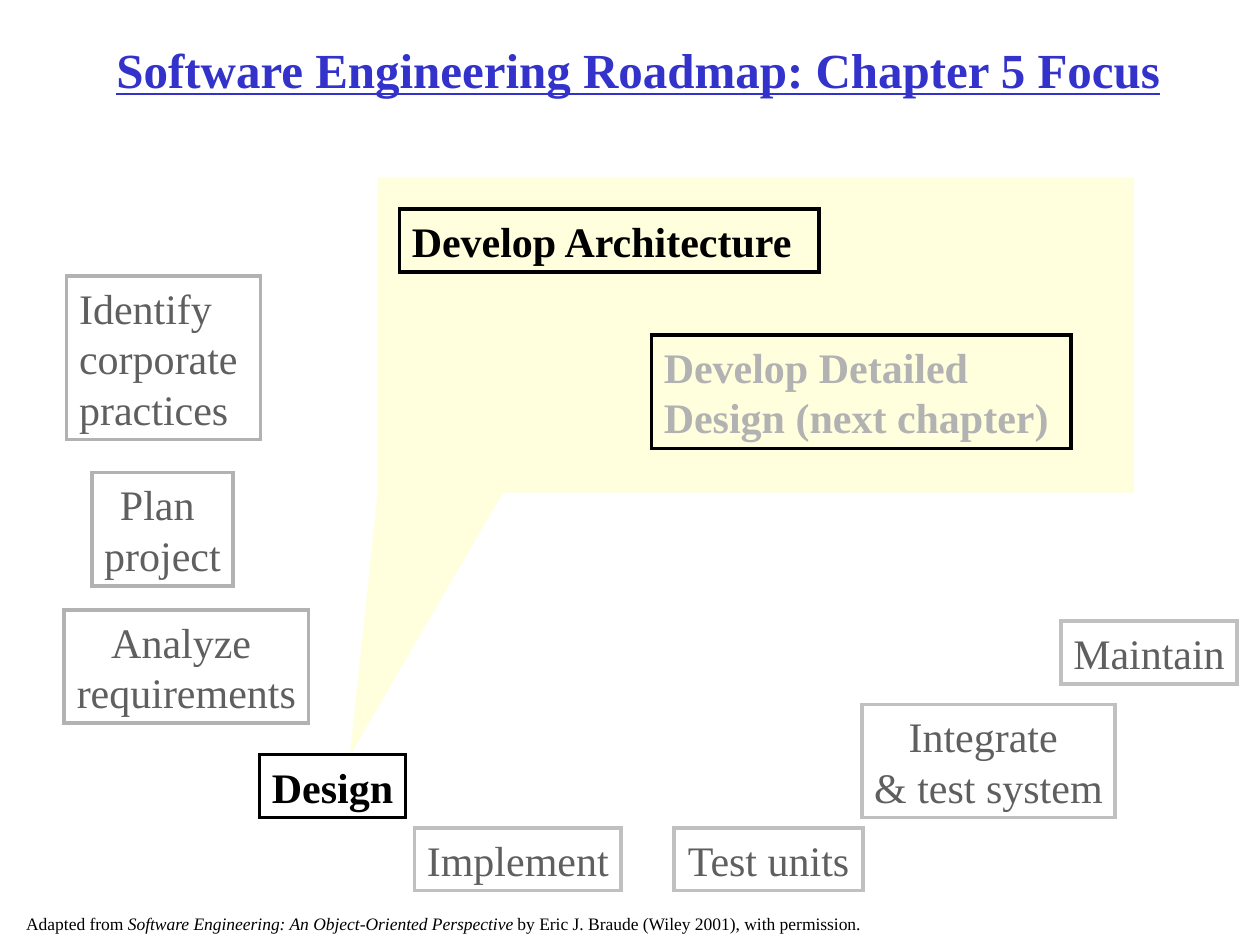
"""Build the software engineering roadmap slide on a grid of 100 columns by 75 rows."""
import lxml.etree
import pptx
import pptx.dml.color
import pptx.enum.shapes
import pptx.enum.text
import pptx.oxml.ns
import pptx.util

SHAPE = pptx.enum.shapes.MSO_SHAPE
ALIGN = pptx.enum.text.PP_ALIGN
ANCHOR = pptx.enum.text.MSO_ANCHOR

deck = pptx.Presentation()
deck.slide_width, deck.slide_height = pptx.util.Inches(10), pptx.util.Inches(7.5)
column, row = deck.slide_width / 100, deck.slide_height / 75
page = deck.slides.add_slide(deck.slide_layouts[6])


def color(value):
    return pptx.dml.color.RGBColor.from_string(value)


def add_box(place, fill=None, line=None, paragraphs=(), font={}, align=ALIGN.LEFT,
            anchor=ANCHOR.MIDDLE, wrap=False, inset=0.05, kind=SHAPE.RECTANGLE):
    left, top, width, height = place
    box = page.shapes.add_shape(kind, round(left * column), round(top * row),
                                round(width * column), round(height * row))
    box.shadow.inherit = False
    for part, value in ((box.fill, fill), (box.line.fill, line)):
        if value:
            part.solid()
            part.fore_color.rgb = color(value)
        else:
            part.background()
    if line:
        box.line.width = pptx.util.Pt(2)
        outline = box.element.spPr.find(pptx.oxml.ns.qn("a:ln"))
        lxml.etree.SubElement(outline, pptx.oxml.ns.qn("a:miter"), lim="800000")
    if not paragraphs:
        return box
    frame = box.text_frame
    side = pptx.util.Inches(0.03 if align == ALIGN.CENTER else 0.1)
    settings = {"word_wrap": wrap, "vertical_anchor": anchor,
                "auto_size": pptx.enum.text.MSO_AUTO_SIZE.SHAPE_TO_FIT_TEXT,
                "margin_left": side, "margin_right": side,
                "margin_top": pptx.util.Inches(inset),
                "margin_bottom": pptx.util.Inches(inset)}
    for name, value in settings.items():
        setattr(frame, name, value)
    look = {"name": "Times New Roman", "size": 24, "color": "000000"} | font
    for index, spans in enumerate(paragraphs):
        para = frame.add_paragraph() if index else frame.paragraphs[0]
        para.alignment = align
        for text, extra in spans:
            span = para.add_run()
            span.text = text
            for name, value in (look | extra).items():
                if name == "color":
                    span.font.color.rgb = color(value)
                else:
                    setattr(span.font, name, pptx.util.Pt(value) if name == "size" else value)
    return box


add_box((30, 14.1, 60, 25), "FFFFDD")
pointer = add_box((11.4, 31.5, 37, 16.6), "FFFFDD", kind=SHAPE.RIGHT_TRIANGLE)
pointer.rotation = 300.2
pointer.element.spPr.xfrm.set("flipH", "1")

early, late, focus = "B2B2B2", "C0C0C0", "000000"
phases = [
    ((7.3, 37.5, 11.2, 9), early, ["Plan ", "project"]),
    ((68.4, 55.9, 20.1, 9), late, ["Integrate ", "& test system"]),
    ((5.1, 48.4, 19.4, 9), early, ["Analyze ", "requirements"]),
    ((20.6, 59.9, 11.6, 5), focus, ["Design"]),
    ((84.2, 49.3, 14, 5), late, ["Maintain"]),
    ((53.5, 65.7, 15, 5), late, ["Test units"]),
    ((32.9, 65.7, 16.4, 5), late, ["Implement"]),
    ((5.3, 21.9, 15.4, 13), early, ["Identify", "corporate", "practices"]),
]
for place, line, words in phases:
    current = line == focus
    add_box(place, "FFFFFF", line, [[(word, {})] for word in words],
            {"bold": current, "color": focus if current else "5F5F5F"},
            ALIGN.LEFT if len(words) == 3 else ALIGN.CENTER)

add_box((5, 2.7, 91.3, 5.6), paragraphs=[[("Software Engineering Roadmap: Chapter 5 Focus", {})]],
        font={"size": 28, "bold": True, "underline": True, "color": "3333CC"},
        align=ALIGN.CENTER, anchor=ANCHOR.BOTTOM, wrap=True)

steps = [
    ((31.7, 16.6, 33.3, 5), "Develop Architecture", focus),
    ((51.7, 26.6, 33.3, 9), "Develop Detailed Design (next chapter)", early),
]
for place, words, shade in steps:
    add_box(place, None, focus, [[(words, {})]], {"bold": True, "color": shade},
            anchor=ANCHOR.TOP, wrap=True)

credit = [
    ("Adapted from ", {}),
    ("Software Engineering: An Object-Oriented Perspective ", {"italic": True}),
    ("by Eric J. Braude (Wiley 2001), with permission.", {}),
]
add_box((1.1, 72.5, 68.3, 1.7), "FFFFFF", paragraphs=[credit], font={"size": 10},
        anchor=ANCHOR.TOP, inset=0)

deck.save("out.pptx")
